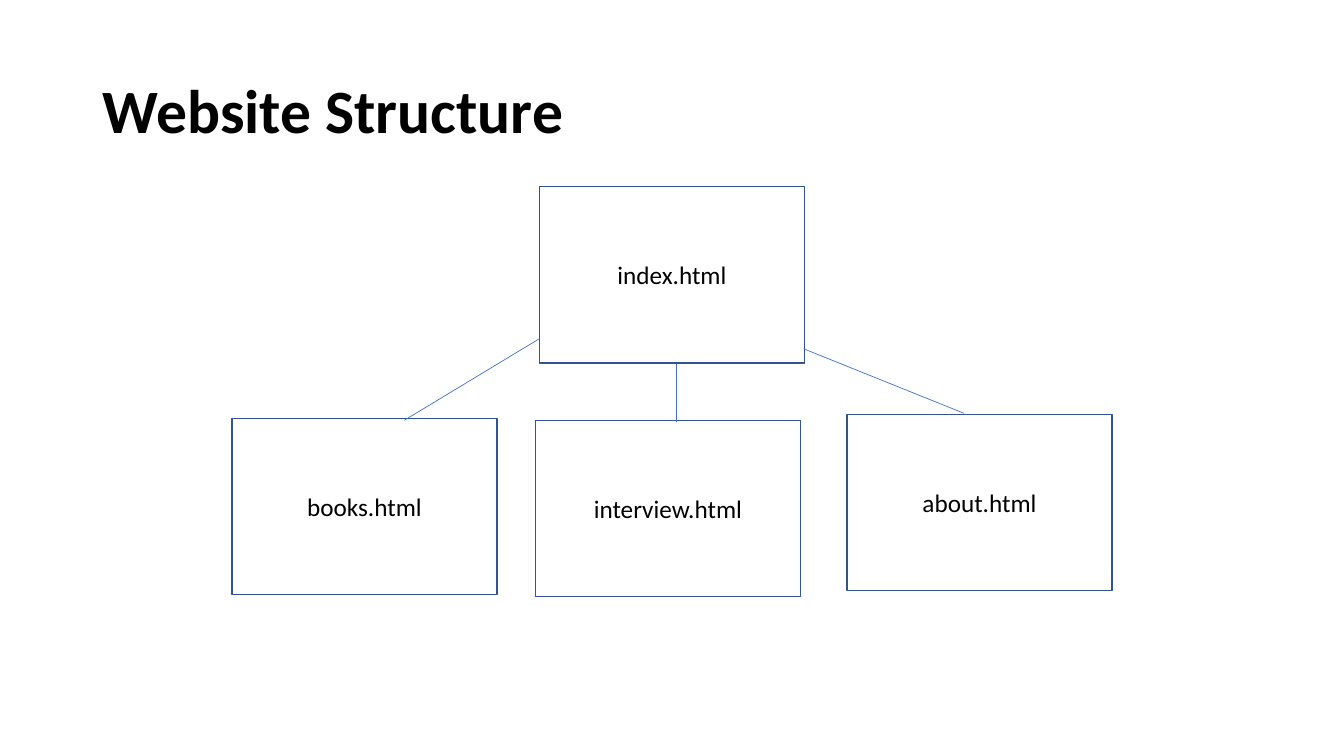
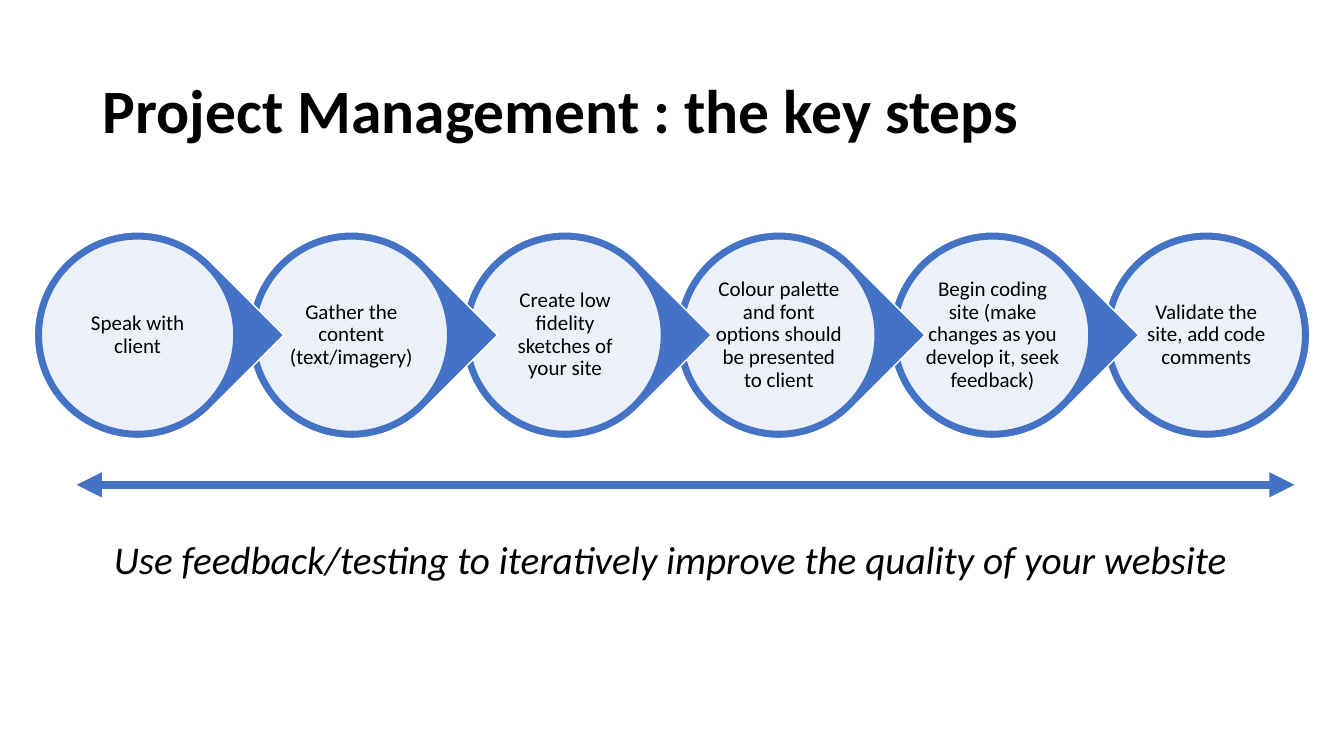
from lxml import etree
from pptx import Presentation
from pptx.dml.color import RGBColor
from pptx.enum.shapes import MSO_CONNECTOR, MSO_SHAPE
from pptx.enum.text import MSO_ANCHOR, PP_ALIGN
from pptx.oxml.ns import qn
from pptx.util import Inches, Pt

RECT, OVAL, DROP = MSO_SHAPE.RECTANGLE, MSO_SHAPE.OVAL, MSO_SHAPE.TEAR
LINE = MSO_CONNECTOR.STRAIGHT
LEFT, CENTER = PP_ALIGN.LEFT, PP_ALIGN.CENTER
MIDDLE = MSO_ANCHOR.MIDDLE
FONT = "Calibri"
BLUE, NAVY, WHITE, BLACK = "4472C4", "325491", "FFFFFF", "000000"

hue = RGBColor.from_string


def write(shape, text, size, align=CENTER, spacing=1.0):
    """Put one black, middle-anchored paragraph in a shape and return its font."""
    frame = shape.text_frame
    frame.text = text
    frame.word_wrap = True
    frame.vertical_anchor = MIDDLE
    para = frame.paragraphs[0]
    para.alignment = align
    para.line_spacing = spacing
    font = para.runs[0].font
    font.name, font.size = FONT, Pt(size)
    font.color.rgb = hue(BLACK)
    return font


def paint(shape, line, width, fill=None):
    """Set line and fill, and drop the shadow, of a shape or connector."""
    shape.line.color.rgb = hue(line)
    shape.line.width = Pt(width)
    if fill:
        shape.fill.solid()
        shape.fill.fore_color.rgb = hue(fill)
        shape.shadow.inherit = False
    else:
        etree.SubElement(shape.element.spPr, qn("a:effectLst"))


deck = Presentation()
deck.slide_width, deck.slide_height = Inches(13.33), Inches(7.5)
layout = deck.slide_layouts[5]

# Both slides share the title place and style
pages = []
for name in ("Website Structure", "Project Management : the key steps"):
    page = deck.slides.add_slide(layout)
    title = page.shapes.title
    title.left, title.top = Inches(0.92), Inches(0.4)
    title.width, title.height = Inches(11.5), Inches(1.45)
    write(title, name, 44, LEFT, 0.9).bold = True
    pages.append(page.shapes)
site, plan = pages

# Site map
files = [
    ("index.html", 5.35, 1.85),
    ("interview.html", 5.31, 4.17),
    ("books.html", 2.3, 4.15),
    ("about.html", 8.4, 4.11),
]
for name, x, y in files:
    box = site.add_shape(RECT, Inches(x), Inches(y), Inches(2.63), Inches(1.75))
    paint(box, NAVY, 1, WHITE)
    write(box, name, 18)

links = [
    (5.35, 3.36, 4.01, 4.17),
    (6.71, 3.61, 6.71, 4.19),
    (9.56, 4.1, 7.97, 3.46),
]
for ends in links:
    link = site.add_connector(LINE, *map(Inches, ends))
    paint(link, BLUE, 0.5)

# Chain of steps, drawn from the last so that each tip overlaps the next step
steps = [
    "Speak with client",
    "Gather the content (text/imagery)",
    "Create low fidelity sketches of your site",
    "Colour palette and font options should be presented to client",
    "Begin coding site (make changes as you develop it, seek feedback)",
    "Validate the site, add code comments",
]
START, TOP, PITCH = 0.34, 2.3, 2.12
RING, DISC, LABEL = 2.05, 1.91, 1.37
last = len(steps) - 1
for i in range(last, -1, -1):
    x = START + i * PITCH
    ring = plan.add_shape(OVAL if i == last else DROP,
                          Inches(x), Inches(TOP), Inches(RING), Inches(RING))
    paint(ring, WHITE, 1, BLUE)
    if i < last:
        ring.rotation = 45
        ring.adjustments[0] = 1

    gap = (RING - DISC) / 2
    disc = plan.add_shape(OVAL, Inches(x + gap), Inches(TOP + gap),
                          Inches(DISC), Inches(DISC))
    paint(disc, BLUE, 1, WHITE)
    tint = disc.element.spPr.find(qn("a:solidFill"))[0]
    etree.SubElement(tint, qn("a:alpha"), val="90000")

    gap = (RING - LABEL) / 2
    label = plan.add_textbox(Inches(x + gap), Inches(TOP + gap),
                             Inches(LABEL), Inches(LABEL))
    frame = label.text_frame
    frame.margin_left = frame.margin_right = Inches(0.02)
    frame.margin_top = frame.margin_bottom = Inches(0.02)
    write(label, steps[i], 15, spacing=0.9)

# Feedback loop below the chain
note = plan.add_textbox(Inches(0.42), Inches(5.26), Inches(12.45), Inches(0.57))
write(note, "Use feedback/testing to iteratively improve the quality of your website",
      28).italic = True

arrow = plan.add_connector(LINE, Inches(0.76), Inches(4.81), Inches(12.84), Inches(4.81))
paint(arrow, BLUE, 6)
stroke = arrow.element.spPr.find(qn("a:ln"))
for end in ("a:headEnd", "a:tailEnd"):
    etree.SubElement(stroke, qn(end), type="triangle")

deck.save("out.pptx")
